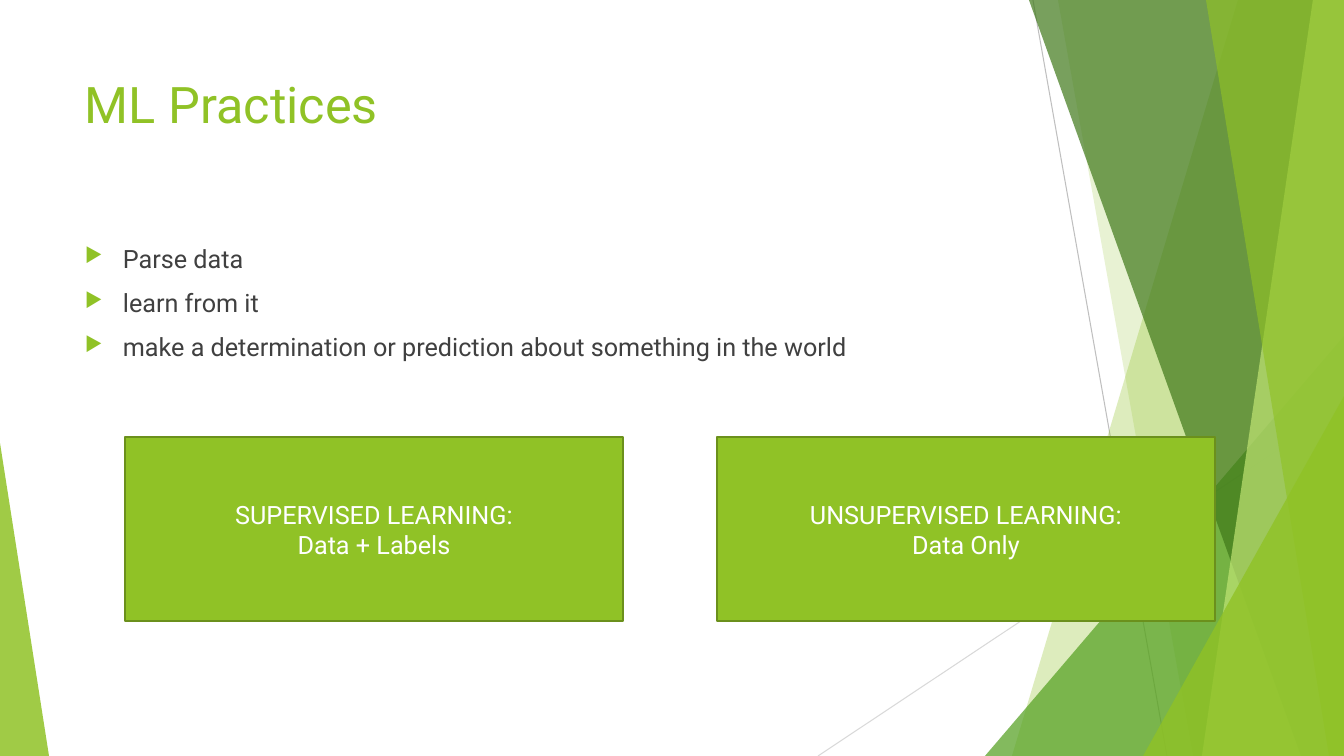
"""Build the ML Practices slide with its faceted green backdrop."""
from lxml.etree import SubElement
from pptx import Presentation
from pptx.dml.color import RGBColor
from pptx.enum.shapes import MSO_CONNECTOR, MSO_SHAPE
from pptx.enum.text import MSO_ANCHOR, PP_ALIGN
from pptx.oxml.ns import qn
from pptx.util import Pt

WIDE, HIGH = 1344, 756
FONT = "Roboto"
HEX = {
    "lime": "90C226", "leaf": "54A021", "moss": "3F7819", "pale": "C0E474",
    "edge": "6B901C", "text": "404040", "white": "FFFFFF",
    "gray": "BFBFBF", "mist": "D9D9D9",
}
TITLE = "ML Practices"
STEPS = [
    "Parse data",
    "learn from it",
    "make a determination or prediction about something in the world",
]
CARDS = [
    ("SUPERVISED LEARNING:", "Data + Labels"),
    ("UNSUPERVISED LEARNING:", "Data Only"),
]
RULES = [((1033, 0, 1167, HIGH), "gray"), ((WIDE, 406, 818, HIGH), "mist")]
FACETS = [
    ("band", (1238, 1012), "lime", 30),
    ("band", (1058, 1193), "lime", 20),
    ("wedge", (985, 336, 359, 1), "leaf", 72),
    ("band", (1029, 1301), "moss", 70),
    ("band", (1313, 1202), "pale", 70),
    ("band", (1206, 1329), "lime", 65),
    ("wedge", (1143, 396, 201, 1), "lime", 80),
    ("wedge", (0, 443, 49, 0), "lime", 85),
]
LEFT, SPAN = 75, 948
CARD = {"left": 125, "top": 437, "wide": 498, "high": 184, "gap": 94}
HANG = 38


def px(*sizes):
    return [round(size * 914400 / 100.8) for size in sizes]


def tint(name):
    return RGBColor.from_string(HEX[name])


def write(frame, lines, size, color, **form):
    frame.word_wrap = True
    for num, line in enumerate(lines):
        para = frame.add_paragraph() if num else frame.paragraphs[0]
        for key, value in form.items():
            setattr(para, key, value)
        run = para.add_run()
        run.text = line
        for key, value in {"name": FONT, "size": Pt(size)}.items():
            setattr(run.font, key, value)
        run.font.color.rgb = tint(color)


def bullet(para):
    props = para._p.get_or_add_pPr()
    hang, = px(HANG)
    props.set("marL", str(hang))
    props.set("indent", str(-hang))
    shade = SubElement(props, qn("a:buClr"))
    SubElement(shade, qn("a:srgbClr"), val=HEX["lime"])
    SubElement(props, qn("a:buSzPct"), val="80000")
    SubElement(props, qn("a:buChar"), char="▶")


def paint(shape, color, alpha=100):
    shape.shadow.inherit = False
    shape.fill.solid()
    shape.fill.fore_color.rgb = tint(color)
    if alpha < 100:
        node = shape.fill._xPr.find(".//" + qn("a:srgbClr"))
        SubElement(node, qn("a:alpha"), val=str(alpha * 1000))


def rule(shapes, ends, color):
    line = shapes.add_connector(MSO_CONNECTOR.STRAIGHT, *px(*ends))
    line.line.color.rgb = tint(color)
    line.line.width = Pt(0.75)
    SubElement(line._element.spPr, qn("a:effectLst"))


def facet(shapes, kind, spot, color, alpha):
    if kind == "band":
        top, base = spot
        pen = shapes.build_freeform(*px(top, 0), scale=1.0)
        ends = [(WIDE, 0), (WIDE, HIGH), (base, HIGH)]
        pen.add_line_segments([px(*end) for end in ends], close=True)
        shape = pen.convert_to_shape()
    else:
        left, top, wide, peak = spot
        area = px(left, top, wide, HIGH - top)
        shape = shapes.add_shape(MSO_SHAPE.ISOSCELES_TRIANGLE, *area)
        shape.adjustments[0] = peak
    paint(shape, color, alpha)
    shape.line.fill.background()


def card(shapes, num, lines):
    left = CARD["left"] + num * (CARD["wide"] + CARD["gap"])
    area = px(left, CARD["top"], CARD["wide"], CARD["high"])
    shape = shapes.add_shape(MSO_SHAPE.RECTANGLE, *area)
    paint(shape, "lime")
    shape.line.color.rgb = tint("edge")
    shape.line.width = Pt(1.5)
    shape.text_frame.vertical_anchor = MSO_ANCHOR.MIDDLE
    write(shape.text_frame, lines, 18, "white", alignment=PP_ALIGN.CENTER)


def main():
    deck = Presentation()
    deck.slide_width, deck.slide_height = px(WIDE, HIGH)
    shapes = deck.slides.add_slide(deck.slide_layouts[6]).shapes
    for ends, color in RULES:
        rule(shapes, ends, color)
    for item in FACETS:
        facet(shapes, *item)
    head = shapes.add_textbox(*px(LEFT, 68, SPAN, 145))
    write(head.text_frame, [TITLE], 36, "lime")
    body = shapes.add_textbox(*px(LEFT, 238, SPAN, 427))
    write(body.text_frame, STEPS, 18, "text", space_before=Pt(10))
    for para in body.text_frame.paragraphs:
        bullet(para)
    for num, lines in enumerate(CARDS):
        card(shapes, num, lines)
    deck.save("out.pptx")


if __name__ == "__main__":
    main()
